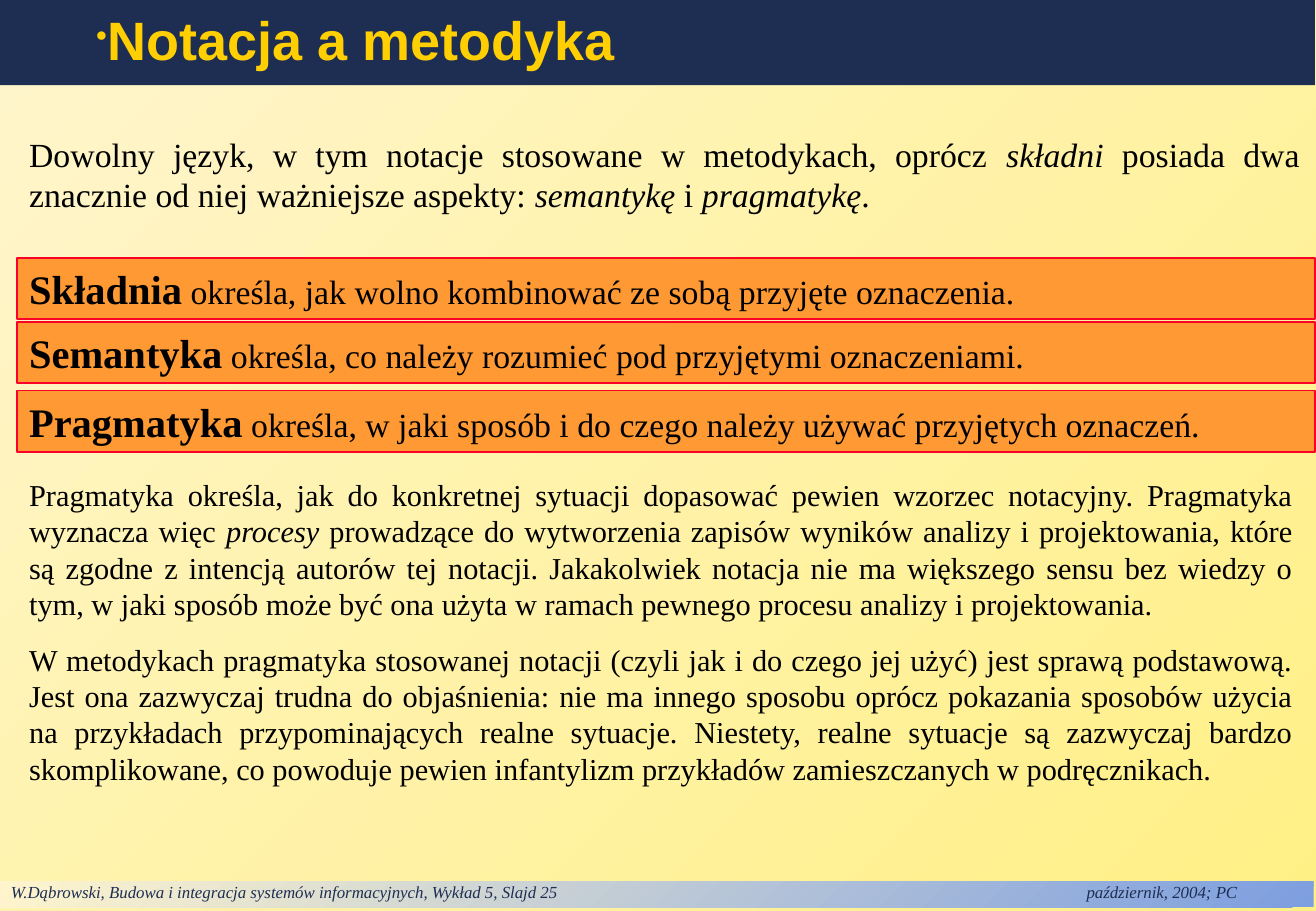
"""Build the slide on notation and methodology."""
from lxml.etree import SubElement
from pptx import Presentation
from pptx.dml.color import RGBColor
from pptx.enum.shapes import MSO_SHAPE
from pptx.enum.text import MSO_ANCHOR, PP_ALIGN
from pptx.oxml.ns import qn
from pptx.util import Cm, Pt

NAVY, GOLD, CREAM, BLACK = "1E2E53", "FFCF01", "FFF5CD", "000000"
SERIF = "Times New Roman"


def paint(fill, *colors):
    """Fill with one colour, or blend two from bottom right to top left."""
    if len(colors) == 1:
        fill.solid()
        fill.fore_color.rgb = RGBColor.from_string(colors[0])
        return
    fill.gradient()
    fill.gradient_angle = 135
    for stop, color in zip(fill.gradient_stops, colors):
        stop.color.rgb = RGBColor.from_string(color)


def write(shape, texts, size, color=BLACK, font=SERIF, mark="italic",
          align=PP_ALIGN.LEFT, anchor=MSO_ANCHOR.TOP):
    """Set paragraphs; pieces between asterisks get the marked style."""
    frame = shape.text_frame
    frame.word_wrap = True
    frame.vertical_anchor = anchor
    frame.text = "\n".join(text.replace("*", "") for text in texts)
    for para, text in zip(frame.paragraphs, texts):
        para.alignment = align
        para.clear()
        for i, piece in enumerate(text.split("*")):
            if piece:
                run = para.add_run()
                run.text = piece
                run.font.name, run.font.size = font, Pt(size)
                run.font.color.rgb = RGBColor.from_string(color)
                setattr(run.font, mark, i % 2 == 1)
    return frame


deck = Presentation()
deck.slide_width, deck.slide_height = Cm(27.53), Cm(19.05)
slide = deck.slides.add_slide(deck.slide_layouts[6])
paint(slide.background.fill, "FFF085", CREAM)
shapes = slide.shapes

foot = shapes.add_shape(MSO_SHAPE.RECTANGLE, Cm(-0.02), Cm(18.43), Cm(27.5), Cm(0.54))
foot.shadow.inherit = False
foot.line.fill.background()
paint(foot.fill, "7D9EDF", CREAM)
frame = write(foot, ["*W.Dąbrowski, Budowa i integracja systemów informacyjnych, "
                     "Wykład 5, Slajd 25\tpaździernik, 2004; PC*"], 10, NAVY)
frame.margin_top, frame.margin_bottom = 0, Cm(0.1)
tabs = SubElement(frame.paragraphs[0]._p.get_or_add_pPr(), qn("a:tabLst"))
SubElement(tabs, qn("a:tab"), pos=str(Cm(22.5)), algn="l")

title = shapes.add_shape(MSO_SHAPE.RECTANGLE, 0, 0, Cm(27.51), Cm(1.78))
title.shadow.inherit = False
title.line.fill.background()
paint(title.fill, NAVY)
frame = write(title, ["*Notacja a metodyka*"], 32, GOLD, "Arial", "bold",
              anchor=MSO_ANCHOR.MIDDLE)
para = frame.paragraphs[0]
para.line_spacing = 0.9
props = para._p.get_or_add_pPr()
props.set("marL", str(Cm(0.74)))
props.set("indent", str(Cm(1.02)))
SubElement(SubElement(props, qn("a:buClr")), qn("a:srgbClr"), val=GOLD)
SubElement(props, qn("a:buSzPct"), val="60000")
SubElement(props, qn("a:buChar"), char="•")

intro = shapes.add_textbox(Cm(0.36), Cm(2.67), Cm(27.08), Cm(1.96))
write(intro, ["Dowolny język, w tym notacje stosowane w metodykach, oprócz *składni* "
              "posiada dwa znacznie od niej ważniejsze aspekty: *semantykę* i "
              "*pragmatykę*."], 20, align=PP_ALIGN.JUSTIFY)

body = shapes.add_textbox(Cm(0.36), Cm(9.83), Cm(26.95), Cm(6.76))
frame = write(body, [
    "Pragmatyka określa, jak do konkretnej sytuacji dopasować pewien wzorzec "
    "notacyjny. Pragmatyka wyznacza więc *procesy* prowadzące do wytworzenia zapisów "
    "wyników analizy i projektowania, które są zgodne z intencją autorów tej notacji. "
    "Jakakolwiek notacja nie ma większego sensu bez wiedzy o tym, w jaki sposób może "
    "być ona użyta w ramach pewnego procesu analizy i projektowania.",
    "W metodykach pragmatyka stosowanej notacji (czyli jak i do czego jej użyć) jest "
    "sprawą podstawową. Jest ona zazwyczaj trudna do objaśnienia: nie ma innego "
    "sposobu oprócz pokazania sposobów użycia na przykładach przypominających realne "
    "sytuacje. Niestety, realne sytuacje są zazwyczaj bardzo skomplikowane, co "
    "powoduje pewien infantylizm przykładów zamieszczanych w podręcznikach.",
], 18, align=PP_ALIGN.JUSTIFY)
for para in frame.paragraphs:
    para.space_after = Pt(11.2)

terms = [
    (5.39, "*Składnia* określa, jak wolno kombinować ze sobą przyjęte oznaczenia."),
    (6.73, "*Semantyka* określa, co należy rozumieć pod przyjętymi oznaczeniami."),
    (8.17, "*Pragmatyka* określa, w jaki sposób i do czego należy używać przyjętych "
           "oznaczeń."),
]
for top, text in terms:
    bar = shapes.add_shape(MSO_SHAPE.RECTANGLE, Cm(0.36), Cm(top), Cm(27.15), Cm(1.28))
    bar.shadow.inherit = False
    paint(bar.fill, "FF9933")
    paint(bar.line.fill, "FC0128")
    bar.line.width = Pt(1)
    frame = write(bar, [text], 20, mark="bold")
    frame.paragraphs[0].runs[0].font.size = Pt(24)

deck.save("out.pptx")
